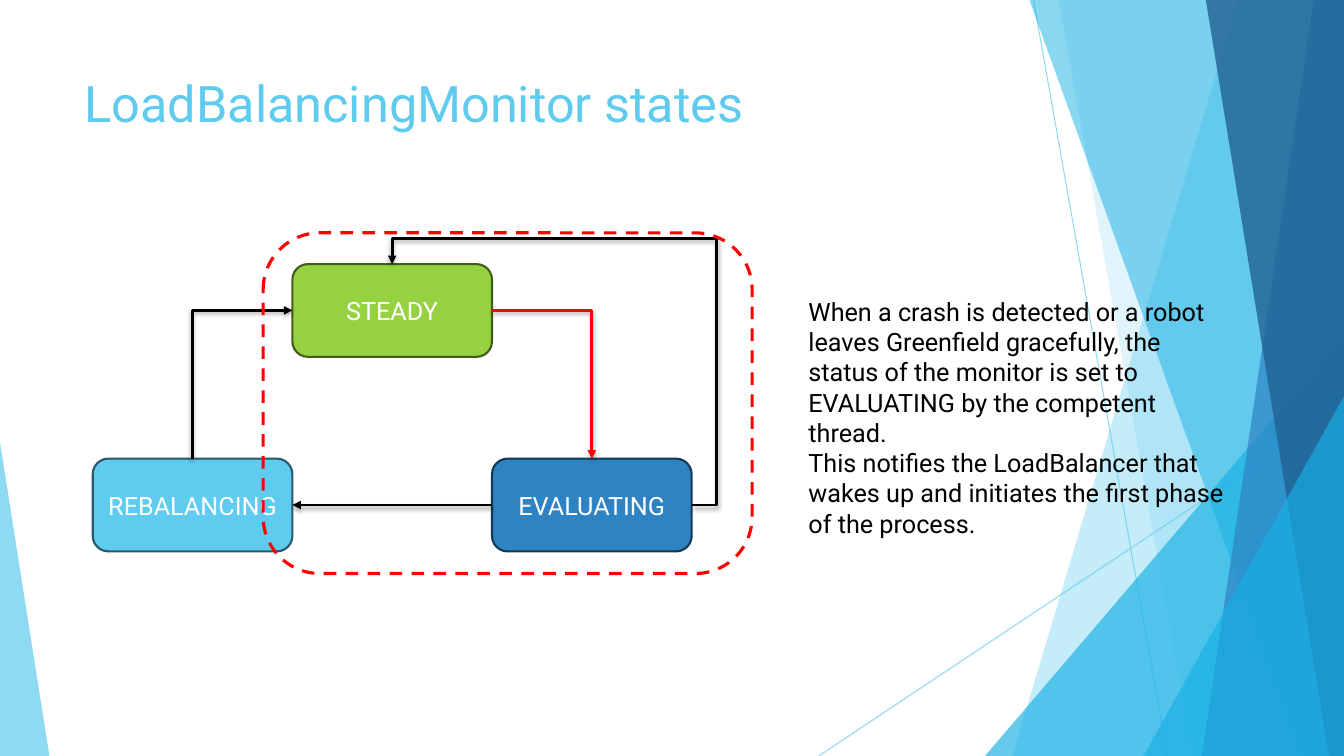
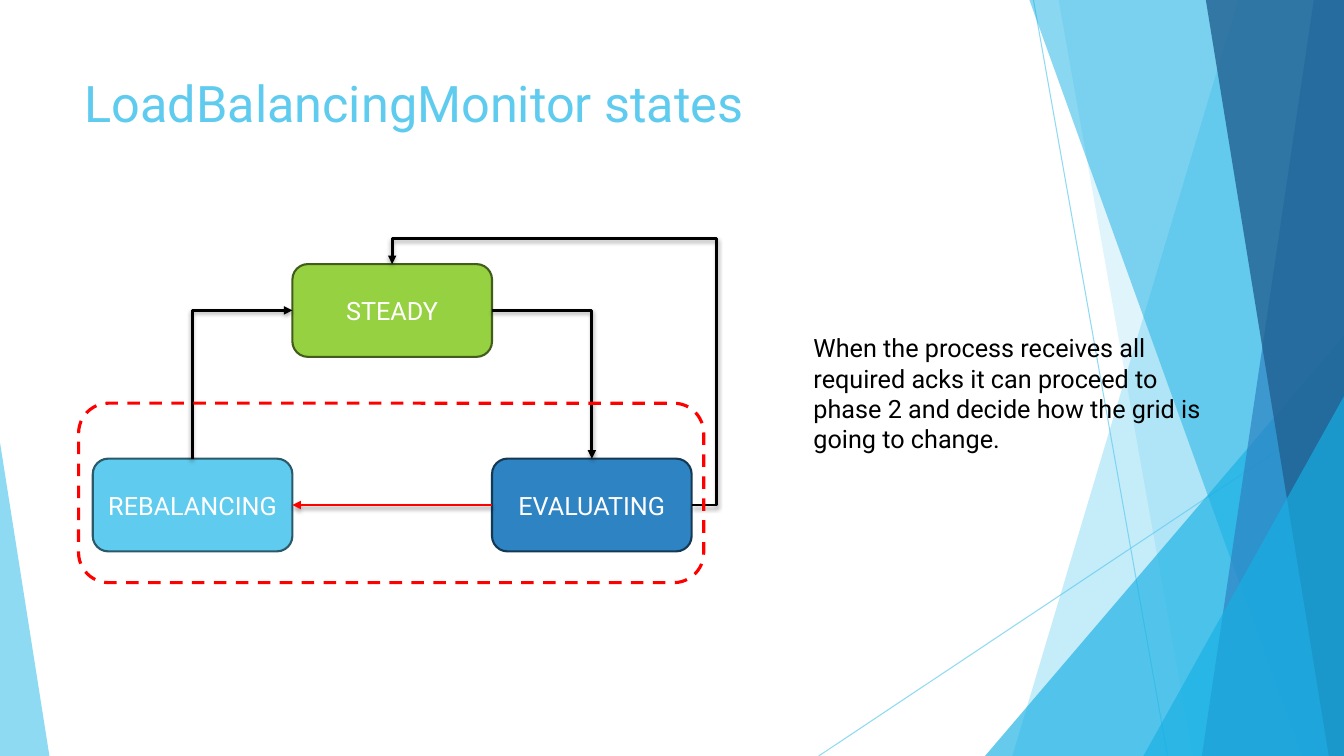
"""Build two slides on the states of a load balancing monitor."""
from dataclasses import dataclass

from lxml.etree import SubElement
from pptx import Presentation
from pptx.dml.color import RGBColor
from pptx.enum.dml import MSO_LINE
from pptx.enum.shapes import MSO_CONNECTOR, MSO_SHAPE
from pptx.enum.text import MSO_ANCHOR, MSO_AUTO_SIZE, PP_ALIGN
from pptx.oxml.ns import qn
from pptx.util import Pt

PX = 9144
WIDE, HIGH = 1333, 750
BOX_W, BOX_H = 198, 92
LEFT, TOP, DROP = 92, 262, 193
TOP_SIDE, LEFT_SIDE, RIGHT_SIDE = 0, 1, 3


@dataclass(frozen=True)
class Theme:
    font: str = "Roboto"
    head: Pt = Pt(36)
    text: Pt = Pt(18)
    hair: Pt = Pt(0.75)
    edge: Pt = Pt(1.5)
    wire: Pt = Pt(2)
    ring: Pt = Pt(2.25)
    sky: str = "5FCBEF"
    aqua: str = "17B0E4"
    blue: str = "2E83C3"
    navy: str = "226292"
    green: str = "96D141"
    white: str = "FFFFFF"
    black: str = "000000"
    red: str = "FF0000"


THEME = Theme()
STATES = {
    "STEADY": (1, 0, THEME.green, "425C1C"),
    "EVALUATING": (2, 1, THEME.blue, "143955"),
    "REBALANCING": (0, 1, THEME.sky, "2A5969"),
}
MOVES = (
    ("STEADY", RIGHT_SIDE, "EVALUATING", TOP_SIDE, "bentConnector2", {}),
    ("EVALUATING", LEFT_SIDE, "REBALANCING", RIGHT_SIDE, "line", {}),
    ("REBALANCING", TOP_SIDE, "STEADY", LEFT_SIDE, "bentConnector2", {}),
    ("EVALUATING", RIGHT_SIDE, "STEADY", TOP_SIDE, "bentConnector4",
     {"adj1": -8400, "adj2": 110500}),
)
PAGES = (
    (0, (261, 231, 485, 338), (792, 289, 433, 222), (
        "When a crash is detected or a robot leaves Greenfield gracefully, "
        "the status of the monitor is set to EVALUATING by the competent thread.",
        "This notifies the LoadBalancer that wakes up and initiates "
        "the first phase of the process.")),
    (1, (78, 400, 620, 178), (797, 325, 433, 101), (
        "When the process receives all required acks it can proceed to phase 2 "
        "and decide how the grid is going to change.",)),
)


def emu(*sizes):
    return [size * PX for size in sizes]


def apply(item, values):
    for name, value in values.items():
        setattr(item, name, value)


def paint(fill, hue):
    fill.solid()
    fill.fore_color.rgb = RGBColor.from_string(hue)


def stroke(line, hue, width):
    paint(line.fill, hue)
    line.width = width


def fade(shape, alpha):
    for hue in shape._element.spPr.iter(qn("a:srgbClr")):
        SubElement(hue, qn("a:alpha"), val=str(alpha * 1000))


def write(frame, lines, size, hue, align=PP_ALIGN.LEFT):
    frame.text = "\n".join(lines)
    for part in frame.paragraphs:
        part.alignment = align
        apply(part.font, {"name": THEME.font, "size": size})
        part.font.color.rgb = RGBColor.from_string(hue)


def ray(slide, place, hue):
    line = slide.shapes.add_connector(MSO_CONNECTOR.STRAIGHT, *emu(*place))
    stroke(line.line, hue, THEME.hair)
    SubElement(line._element.spPr, qn("a:effectLst"))
    return line


def slab(slide, place, hue):
    top, foot = place
    pen = slide.shapes.build_freeform(top, 0, scale=PX)
    pen.add_line_segments([(WIDE, 0), (WIDE, HIGH), (foot, HIGH)], close=True)
    return flat(pen.convert_to_shape(), hue)


def wedge(slide, place, hue):
    left, top, width, tip = place
    shape = slide.shapes.add_shape(
        MSO_SHAPE.ISOSCELES_TRIANGLE, *emu(left, top, width, HIGH - top))
    shape.adjustments[0] = tip
    return flat(shape, hue)


def flat(shape, hue):
    shape.shadow.inherit = False
    paint(shape.fill, hue)
    shape.line.fill.background()
    return shape


DECOR = (
    (ray, (1025, 0, 1158, HIGH), THEME.sky, 70),
    (ray, (WIDE, 403, 812, HIGH), THEME.sky, 70),
    (slab, (1228, 1004), THEME.sky, 36),
    (slab, (1050, 1183), THEME.sky, 20),
    (wedge, (977, 333, 356, 1), THEME.aqua, 66),
    (slab, (1021, 1291), THEME.aqua, 50),
    (slab, (1303, 1192), THEME.blue, 70),
    (slab, (1196, 1318), THEME.navy, 80),
    (wedge, (1134, 393, 199, 1), THEME.aqua, 66),
    (wedge, (0, 439, 49, 0), THEME.sky, 70),
)


def dress(layout, slide):
    """Move the shared decor and title place to the layout."""
    for holder in list(layout.placeholders):
        if holder.placeholder_format.idx:
            holder.element.getparent().remove(holder.element)
    names = ("left", "top", "width", "height")
    apply(layout.placeholders[0], dict(zip(names, emu(74, 67, 940, 144))))
    for make, place, hue, alpha in DECOR:
        shape = make(slide, place, hue)
        fade(shape, alpha)
        layout.shapes.element.append(shape._element)


def title(slide, text):
    frame = slide.shapes.title.text_frame
    apply(frame, {"vertical_anchor": MSO_ANCHOR.TOP,
                  "auto_size": MSO_AUTO_SIZE.NONE})
    write(frame, [text], THEME.head, THEME.sky)


def state(slide, name):
    col, row, hue, edge = STATES[name]
    place = emu(LEFT + col * BOX_W, TOP + row * DROP, BOX_W, BOX_H)
    box = slide.shapes.add_shape(MSO_SHAPE.ROUNDED_RECTANGLE, *place)
    flat(box, hue)
    stroke(box.line, edge, THEME.edge)
    box.text_frame.vertical_anchor = MSO_ANCHOR.MIDDLE
    write(box.text_frame, [name], THEME.text, THEME.white, PP_ALIGN.CENTER)
    return box


def turn(wire):
    """Make a bent wire leave upward by a quarter turn of its frame."""
    wide, high = wire.width, wire.height
    shift = (wide - high) // 2
    apply(wire, {"left": wire.left + shift, "top": wire.top - shift,
                 "width": high, "height": wide})
    apply(wire._element.spPr.xfrm, {"rot": 90, "flipH": True, "flipV": True})


def move(slide, boxes, plan, hue):
    start, out, end, into, kind, bends = plan
    wire = slide.shapes.add_connector(MSO_CONNECTOR.ELBOW, 0, 0, 0, 0)
    wire.begin_connect(boxes[start], out)
    wire.end_connect(boxes[end], into)
    if out == TOP_SIDE:
        turn(wire)
    stroke(wire.line, hue, THEME.wire)
    props = wire._element.spPr
    shape = props.find(qn("a:prstGeom"))
    shape.set("prst", kind)
    for name, value in bends.items():
        SubElement(shape.find(qn("a:avLst")), qn("a:gd"),
                   name=name, fmla=f"val {value}")
    SubElement(props.find(qn("a:ln")), qn("a:tailEnd"), type="triangle")
    glow = SubElement(SubElement(props, qn("a:effectLst")), qn("a:outerShdw"),
                      blurRad=str(Pt(3)), dist=str(Pt(2)), dir="5400000",
                      rotWithShape="0")
    shade = SubElement(glow, qn("a:srgbClr"), val=THEME.black)
    SubElement(shade, qn("a:alpha"), val="35000")


def ring(slide, place):
    shape = slide.shapes.add_shape(MSO_SHAPE.ROUNDED_RECTANGLE, *emu(*place))
    shape.shadow.inherit = False
    shape.fill.background()
    stroke(shape.line, THEME.red, THEME.ring)
    shape.line.dash_style = MSO_LINE.DASH


def note(slide, place, lines):
    frame = slide.shapes.add_textbox(*emu(*place)).text_frame
    apply(frame, {"word_wrap": True,
                  "auto_size": MSO_AUTO_SIZE.SHAPE_TO_FIT_TEXT})
    write(frame, lines, THEME.text, THEME.black)


def main():
    deck = Presentation()
    apply(deck, {"slide_width": WIDE * PX, "slide_height": HIGH * PX})
    layout = deck.slide_layouts[5]
    slides = [deck.slides.add_slide(layout) for _ in PAGES]
    dress(layout, slides[0])
    for slide, (hot, frame, place, lines) in zip(slides, PAGES):
        title(slide, "LoadBalancingMonitor states")
        boxes = {name: state(slide, name) for name in STATES}
        for step, plan in enumerate(MOVES):
            move(slide, boxes, plan, THEME.red if step == hot else THEME.black)
        ring(slide, frame)
        note(slide, place, lines)
    deck.save("out.pptx")


if __name__ == "__main__":
    main()
